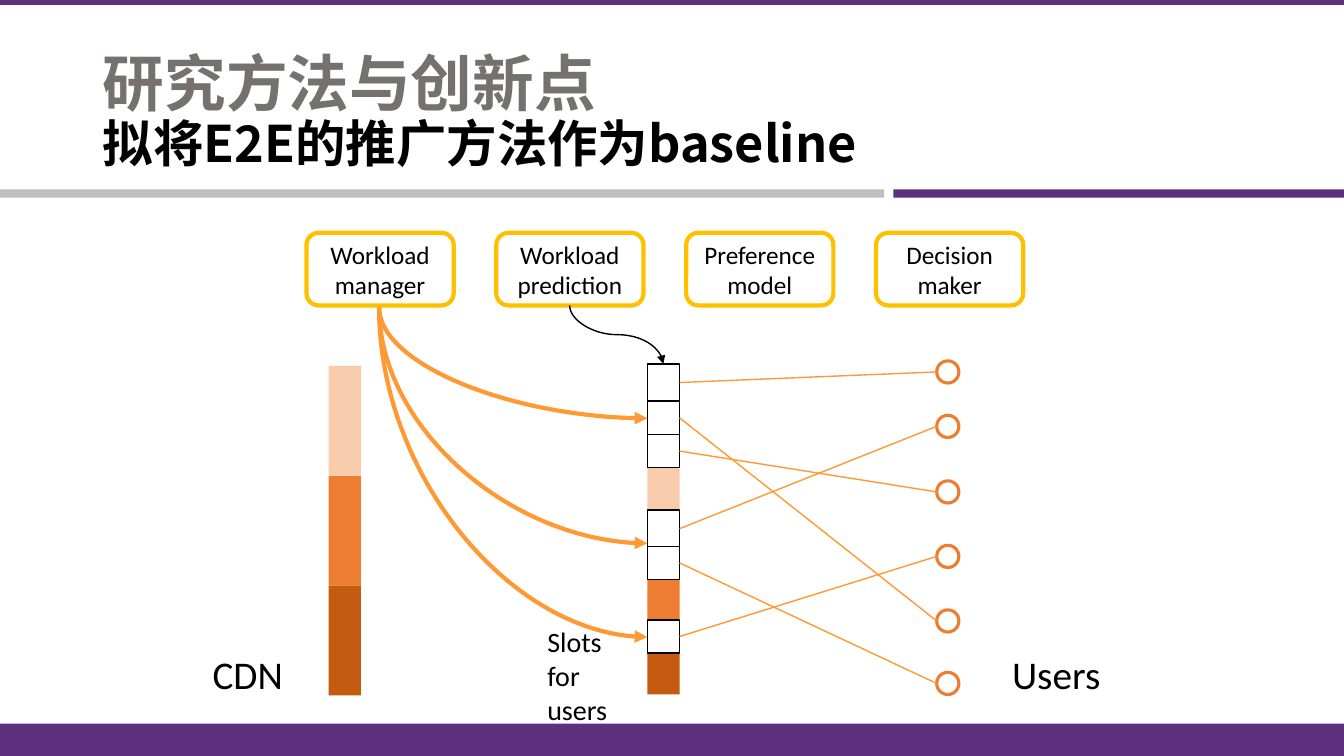
import pptx
import pptx.util
import pptx.dml.color
import pptx.enum.shapes
import pptx.enum.text
import pptx.oxml.ns
import lxml.etree

Inches = pptx.util.Inches
Pt = pptx.util.Pt
RGBColor = pptx.dml.color.RGBColor
SHAPE = pptx.enum.shapes.MSO_SHAPE
CONNECTOR = pptx.enum.shapes.MSO_CONNECTOR
ALIGN = pptx.enum.text.PP_ALIGN
ANCHOR = pptx.enum.text.MSO_ANCHOR
qn = pptx.oxml.ns.qn

PURPLE = RGBColor(0x5C, 0x30, 0x7D)
SILVER = RGBColor(0xBF, 0xBF, 0xBF)
GRAY = RGBColor(0x76, 0x71, 0x71)
BLACK = RGBColor(0, 0, 0)
WHITE = RGBColor(0xFF, 0xFF, 0xFF)
GOLD = RGBColor(0xFF, 0xC0, 0x00)
ORANGE = RGBColor(0xED, 0x7D, 0x31)
PEACH = RGBColor(0xF8, 0xCB, 0xAD)
RUST = RGBColor(0xC5, 0x5A, 0x11)
LINK = RGBColor(0xFF, 0x99, 0x33)

prs = pptx.Presentation()
prs.slide_width = Inches(13.33)
prs.slide_height = Inches(7.5)
s = prs.slides.add_slide(prs.slide_layouts[5])


def add_shape(kind, x, y, w, h, fill, line=None, width=1):
    sp = s.shapes.add_shape(kind, Inches(x), Inches(y), Inches(w), Inches(h))
    sp.shadow.inherit = False
    sp.fill.solid()
    sp.fill.fore_color.rgb = fill
    if line is None:
        sp.line.fill.background()
    else:
        sp.line.color.rgb = line
        sp.line.width = Pt(width)
    return sp


def add_line(kind, x1, y1, x2, y2, color, width):
    c = s.shapes.add_connector(kind, Inches(x1), Inches(y1), Inches(x2), Inches(y2))
    c.line.color.rgb = color
    c.line.width = Pt(width)
    lxml.etree.SubElement(c.element.spPr, qn("a:effectLst"))
    return c


for x, y, w, h, fill in [
    (0, -0.02, 13.33, 0.07, PURPLE),
    (0, 7.18, 13.33, 0.32, PURPLE),
    (0, 1.88, 8.77, 0.08, SILVER),
    (8.86, 1.88, 4.48, 0.08, PURPLE),
]:
    add_shape(SHAPE.RECTANGLE, x, y, w, h, fill)

title = s.shapes.title
title.left, title.top = Inches(0.92), Inches(0.4)
title.width, title.height = Inches(11.5), Inches(1.45)
tf = title.text_frame
tf.word_wrap = True
tf.auto_size = pptx.enum.text.MSO_AUTO_SIZE.NONE
tf.vertical_anchor = ANCHOR.MIDDLE
p = tf.paragraphs[0]
p.alignment = ALIGN.LEFT
p.line_spacing = 0.9
p.text = "研究方法与创新点\v拟将E2E的推广方法作为baseline"
for r, size, color in zip(p.runs, (44, 36), (GRAY, BLACK)):
    r.font.size = Pt(size)
    r.font.bold = True
    r.font.color.rgb = color
    r.font.name = "Noto Sans CJK SC"
    ea = lxml.etree.SubElement(r.font._element, qn("a:ea"))
    ea.set("typeface", "Noto Sans CJK SC")

modules = ["Workload manager", "Workload prediction", "Preference model", "Decision maker"]
for i, name in enumerate(modules):
    sp = add_shape(SHAPE.ROUNDED_RECTANGLE, 3.04 + 1.883 * i, 2.31, 1.46, 0.72, WHITE, GOLD, 3)
    tf = sp.text_frame
    tf.word_wrap = True
    tf.vertical_anchor = ANCHOR.MIDDLE
    p = tf.paragraphs[0]
    p.text = name
    p.alignment = ALIGN.CENTER
    p.font.size = Pt(18)
    p.font.name = "Calibri"
    p.font.color.rgb = BLACK

for i, (fill, load_y) in enumerate([(PEACH, 4.64), (ORANGE, 5.73), (RUST, 6.48)]):
    add_shape(SHAPE.RECTANGLE, 3.26, 3.63 + 1.09 * i, 0.32, 1.09, fill)
    add_shape(SHAPE.RECTANGLE, 6.42, load_y, 0.32, 0.41, fill)

slots = [(3.61, 0.37), (3.98, 0.33), (4.31, 0.33), (5.06, 0.37), (5.42, 0.33), (6.15, 0.33)]
for y, h in slots:
    add_shape(SHAPE.RECTANGLE, 6.42, y, 0.32, h, WHITE, BLACK)

users = [3.58, 4.12, 4.77, 5.41, 6.05, 6.67]
for y in users:
    add_shape(SHAPE.OVAL, 9.29, y, 0.22, 0.22, WHITE, ORANGE, 2.25)

for (y, h), user in zip(slots, [0, 4, 2, 1, 5, 3]):
    add_line(CONNECTOR.STRAIGHT, 6.74, y + h / 2, 9.29, users[user] + 0.11, LINK, 1)

for x1, y1, x2, y2, preset, color, width in [
    (3.76, 3.05, 6.42, 4.15, "curvedConnector2", LINK, 3),
    (3.76, 3.05, 6.42, 5.39, "curvedConnector2", LINK, 3),
    (3.76, 3.05, 6.42, 6.32, "curvedConnector2", LINK, 3),
    (5.65, 3.03, 6.58, 3.61, "curvedConnector3", BLACK, 1),
]:
    cx, cy = (x1 + x2) / 2, (y1 + y2) / 2
    dx, dy = (x2 - x1) / 2, (y2 - y1) / 2
    c = add_line(CONNECTOR.CURVE, cx - dy, cy - dx, cx + dy, cy + dx, color, width)
    xfrm = c.element.spPr.find(qn("a:xfrm"))
    xfrm.set("rot", "16200000")
    xfrm.set("flipH", "1")
    c.element.spPr.find(qn("a:prstGeom")).set("prst", preset)
    tail = lxml.etree.SubElement(c.element.spPr.find(qn("a:ln")), qn("a:tailEnd"))
    tail.set("type", "triangle")

for text, x, y, w, h, size in [
    ("CDN", 2.01, 6.4, 1.12, 0.57, 28),
    ("Slots for users", 5.33, 6.15, 0.93, 1.11, 20),
    ("Users", 9.94, 6.4, 1.34, 0.57, 28),
]:
    tf = s.shapes.add_textbox(Inches(x), Inches(y), Inches(w), Inches(h)).text_frame
    tf.word_wrap = True
    p = tf.paragraphs[0]
    p.text = text
    p.font.size = Pt(size)
    p.font.name = "Calibri"
    p.font.color.rgb = BLACK

prs.save("out.pptx")
